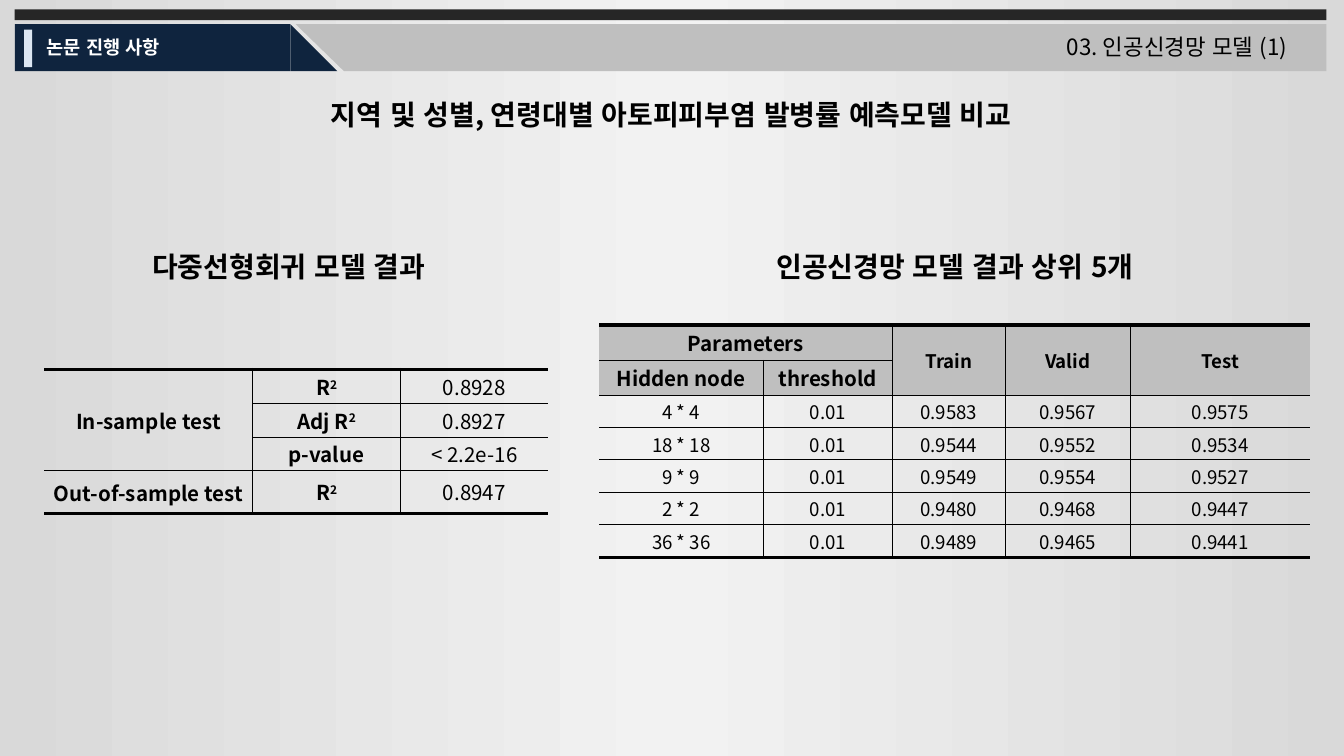
from copy import deepcopy

from lxml import etree
from pptx import Presentation
from pptx.dml.color import RGBColor
from pptx.enum.lang import MSO_LANGUAGE_ID
from pptx.enum.shapes import MSO_SHAPE
from pptx.enum.text import MSO_ANCHOR, MSO_AUTO_SIZE, PP_ALIGN
from pptx.oxml.ns import qn
from pptx.util import Emu, Pt

RECTANGLE, TRIANGLE = MSO_SHAPE.RECTANGLE, MSO_SHAPE.RIGHT_TRIANGLE
LEFT, CENTER = PP_ALIGN.LEFT, PP_ALIGN.CENTER
MIDDLE, GROW = MSO_ANCHOR.MIDDLE, MSO_AUTO_SIZE.SHAPE_TO_FIT_TEXT
KOREAN = MSO_LANGUAGE_ID.KOREAN

EMU_PER_PX = 9144
SLIDE_WIDTH = 1000
FONT = "Noto Sans CJK KR"
BLACK, WHITE, NAVY, GREY = "000000", "FFFFFF", "0F243E", "BFBFBF"
CHARCOAL, PALE_BLUE = "262626", "DCE6F2"
BACKGROUND_STOPS = [(0, "D9D9D9"), (0.5, "F2F2F2"), (1, "D9D9D9")]
THIN, THICK = 0.28, 2.25
MARGINS = ("margin_left", "margin_top", "margin_right", "margin_bottom")
WIDE_MARGINS, NARROW_MARGINS = (7, 0, 7, 0), (1, 1, 1, 0)

REGRESSION_ROWS = [
    ["In-sample test", "R^2", "0.8928"],
    [None, "Adj R^2", "0.8927"],
    [None, "p-value", "< 2.2e-16"],
    ["Out-of-sample test", "R^2", "0.8947"],
]
NETWORK_ROWS = [
    ["Parameters", None, "Train", "Valid", "Test"],
    ["Hidden node", "threshold", None, None, None],
    ["4 * 4", "0.01", "0.9583", "0.9567", "0.9575"],
    ["18 * 18", "0.01", "0.9544", "0.9552", "0.9534"],
    ["9 * 9", "0.01", "0.9549", "0.9554", "0.9527"],
    ["2 * 2", "0.01", "0.9480", "0.9468", "0.9447"],
    ["36 * 36", "0.01", "0.9489", "0.9465", "0.9441"],
]


def px(length):
    """Turn px into EMU."""
    return Emu(length * EMU_PER_PX)


def color(hex_string):
    """Turn a hex string into a colour."""
    return RGBColor.from_string(hex_string)


def set_values(target, values):
    """Set each named attribute of the target."""
    for name, value in values.items():
        setattr(target, name, value)


def write(paragraph, text, size, bold=False, ink=BLACK, align=CENTER):
    """Write text in a paragraph, raising whatever follows a caret."""
    paragraph.alignment = align
    base, _, raised = text.partition("^")
    for part, baseline in ((base, None), (raised, "30000")):
        if not part:
            continue
        run = paragraph.add_run()
        run.text = part
        set_values(run.font, {"name": FONT, "size": Pt(size), "bold": bold, "language_id": KOREAN})
        run.font.color.rgb = color(ink)
        properties = run.font._element
        etree.SubElement(properties, qn("a:ea")).set("typeface", FONT)
        if baseline:
            properties.set("baseline", baseline)


def add_text(slide, box, text, wrap=True, **style):
    """Add a text box that grows with its text."""
    shape = slide.shapes.add_textbox(*map(px, box))
    set_values(shape.text_frame, {"word_wrap": wrap, "auto_size": GROW})
    write(shape.text_frame.paragraphs[0], text, **style)


def add_block(shapes, kind, box, fill, rotation=0):
    """Add a plain filled shape without outline."""
    shape = shapes.add_shape(kind, *map(px, box))
    shape.shadow.inherit = False
    shape.fill.solid()
    shape.fill.fore_color.rgb = color(fill)
    shape.line.fill.background()
    shape.rotation = rotation


def add_border(cell, side, width):
    """Draw one side of a cell, or clear it when the width is zero."""
    properties = cell._tc.get_or_add_tcPr()
    line = etree.SubElement(properties, qn(f"a:ln{side}"), w=str(Pt(width)))
    if width:
        fill = etree.SubElement(line, qn("a:solidFill"))
        etree.SubElement(fill, qn("a:srgbClr")).set("val", BLACK)
    else:
        etree.SubElement(line, qn("a:noFill"))


def add_table(slide, left, top, widths, heights, rows, spans, style_of):
    """Add a table with thick top and bottom rules and open sides."""
    size = (sum(widths), sum(heights))
    frame = slide.shapes.add_table(len(rows), len(widths), *map(px, (left, top, *size)))
    table = frame.table
    set_values(table, {"first_row": False, "horz_banding": False})
    for items, lengths, name in ((table.columns, widths, "width"), (table.rows, heights, "height")):
        for item, length in zip(items, lengths):
            setattr(item, name, px(length))
    for first, last in spans:
        table.cell(*first).merge(table.cell(*last))
    for r, row in enumerate(rows):
        for c, text in enumerate(row):
            cell = table.cell(r, c)
            fill, margins, style = style_of(r, c)
            add_border(cell, "L", THIN if c else 0)
            add_border(cell, "R", THIN if c < len(widths) - 1 else 0)
            add_border(cell, "T", THIN if r else THICK)
            add_border(cell, "B", THIN if r < len(rows) - 1 else THICK)
            set_values(cell, dict(zip(MARGINS, map(px, margins))))
            cell.vertical_anchor = MIDDLE
            if fill:
                cell.fill.solid()
                cell.fill.fore_color.rgb = color(fill)
            else:
                cell.fill.background()
            if text:
                write(cell.text_frame.paragraphs[0], text, **style)


def regression_style(row, column):
    """Give fill, margins and text style of a regression cell."""
    margins = WIDE_MARGINS if column else NARROW_MARGINS
    return None, margins, {"size": 11, "bold": column < 2}


def network_style(row, column):
    """Give fill, margins and text style of a neural network cell."""
    if row < 2:
        return GREY, WIDE_MARGINS, {"size": 11 if column < 2 else 10, "bold": True}
    return None, NARROW_MARGINS, {"size": 10}


def paint_background(slide):
    """Fill the background with a gradient, lighter in the middle."""
    fill = slide.background.fill
    fill.gradient()
    fill.gradient_angle = 0
    stop_list = slide.element.xpath(".//a:gsLst")[0]
    stop_list.append(deepcopy(stop_list[0]))
    for stop, (position, shade) in zip(fill.gradient_stops, BACKGROUND_STOPS):
        stop.position = position
        stop.color.rgb = color(shade)


def add_header(slide, left, top, width):
    """Add the top bar, the section tab and the page name."""
    band, tall, tab = top + 11, 35, 205
    add_block(slide.shapes, RECTANGLE, (left, top, width, 8), CHARCOAL)
    add_block(slide.shapes, RECTANGLE, (left, band, tab, tall), NAVY)
    add_block(slide.shapes, TRIANGLE, (left + tab, band, tall, tall), NAVY)
    group = slide.shapes.add_group_shape()
    add_block(group.shapes, RECTANGLE, (left + 245, band, width - 245, tall), GREY)
    add_block(group.shapes, TRIANGLE, (left + 209, band, tall + 1, tall), GREY, 180)
    add_block(slide.shapes, RECTANGLE, (left + 7, band + 4, 6, 28), PALE_BLUE)
    add_text(slide, (left + 14, band + 4, 113, 27), "논문 진행 사항",
             size=10, bold=True, ink=WHITE, align=LEFT)
    add_text(slide, (left + 773, band + 2, 204, 30), "03. 인공신경망 모델 (1)",
             wrap=False, size=12, align=LEFT)


def add_result(slide, left, top, heading, indent, width, drop, **table):
    """Add a heading with its result table below."""
    add_text(slide, (left + indent, top, width, 35), heading, size=15, bold=True)
    add_table(slide, left, top + drop, **table)


def main():
    """Build the slide and save it."""
    presentation = Presentation()
    width = px(SLIDE_WIDTH)
    set_values(presentation, {"slide_width": width, "slide_height": width * 9 // 16})
    slide = presentation.slides.add_slide(presentation.slide_layouts[6])
    paint_background(slide)
    add_header(slide, 11, 7, 976)
    add_text(slide, (179, 68, 641, 35), "지역 및 성별, 연령대별 아토피피부염 발병률 예측모델 비교",
             size=15, bold=True)
    add_result(slide, 33, 181, "다중선형회귀 모델 결과", 60, 244, 94,
               widths=[155, 110, 110], heights=[25] * 3 + [32], rows=REGRESSION_ROWS,
               spans=[((0, 0), (2, 0))], style_of=regression_style)
    add_result(slide, 446, 181, "인공신경망 모델 결과 상위 5개", 107, 315, 61,
               widths=[122, 96, 84, 93, 134], heights=[26] * 2 + [24] * 4 + [25],
               rows=NETWORK_ROWS, style_of=network_style,
               spans=[((0, 0), (0, 1))] + [((0, c), (1, c)) for c in (2, 3, 4)])
    presentation.save("out.pptx")


if __name__ == "__main__":
    main()
